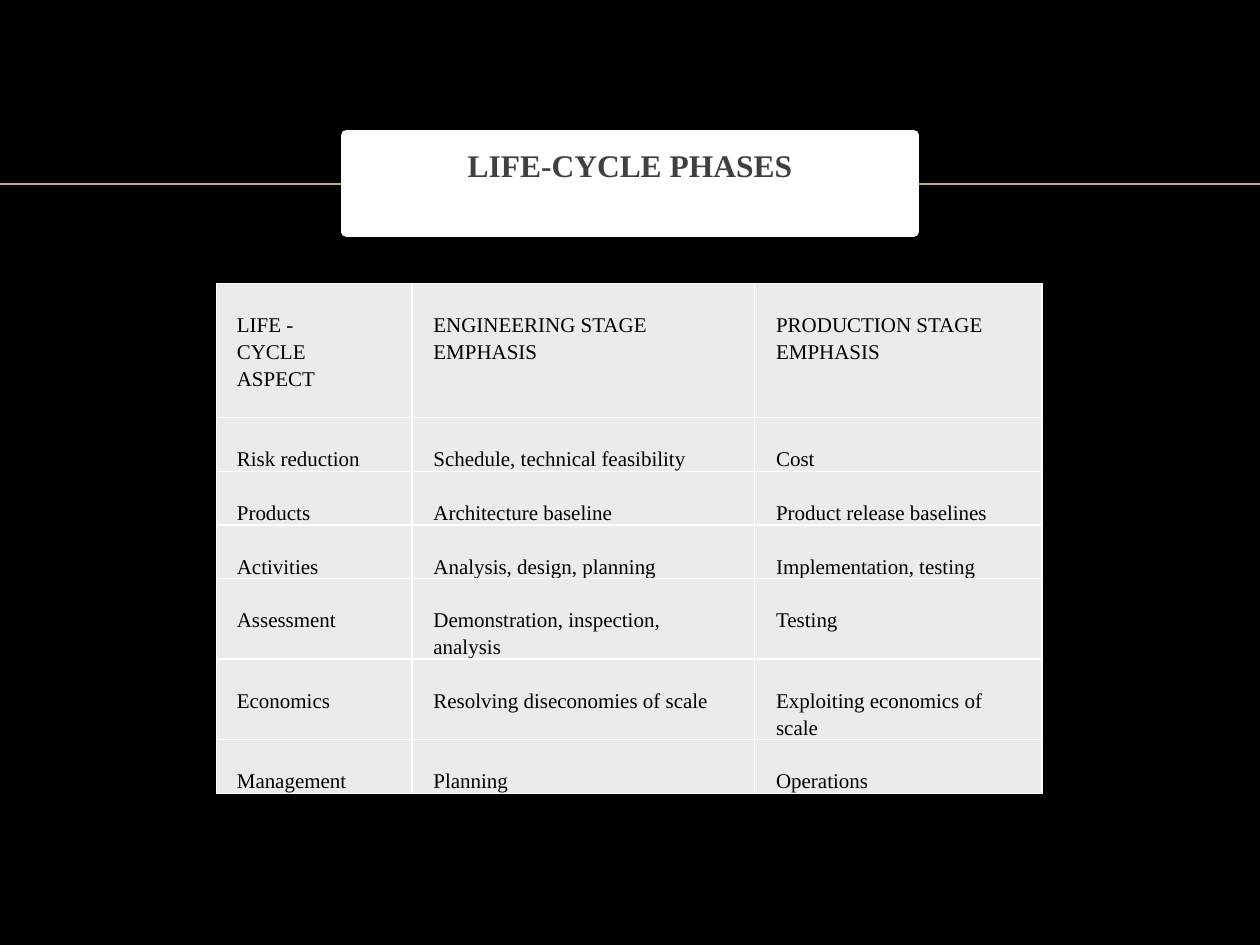
from lxml.etree import SubElement
from pptx import Presentation
from pptx.dml.color import RGBColor
from pptx.enum.shapes import MSO_CONNECTOR
from pptx.enum.text import MSO_ANCHOR, PP_ALIGN
from pptx.oxml import parse_xml
from pptx.oxml.ns import nsdecls, qn
from pptx.util import Inches, Pt

TITLE = "LIFE-CYCLE PHASES"
ROWS = [
    ("LIFE - CYCLE ASPECT", "ENGINEERING STAGE EMPHASIS", "PRODUCTION STAGE EMPHASIS"),
    ("Risk reduction", "Schedule, technical feasibility", "Cost"),
    ("Products", "Architecture baseline", "Product release baselines"),
    ("Activities", "Analysis, design, planning", "Implementation, testing"),
    ("Assessment", "Demonstration, inspection, analysis", "Testing"),
    ("Economics", "Resolving diseconomies of scale", "Exploiting economics of scale"),
    ("Management", "Planning", "Operations"),
]
LINES_PER_ROW = [5, 2, 2, 2, 3, 3, 2]
LINE_HEIGHT = 0.213
COLUMNS = [(1.55, 0.16, 0.38), (2.72, 0.17, 0.27), (2.28, 0.17, 0.26)]
FONT = "Times New Roman"


def rgb(value):
    return RGBColor.from_string(value)


def style_text(p, size, color, bold=False):
    for r in p.runs:
        r.font.name = FONT
        r.font.size = Pt(size)
        r.font.bold = bold
        r.font.color.rgb = rgb(color)


def add_borders(cell, color):
    props = cell._tc.get_or_add_tcPr()
    for i, side in enumerate(("lnL", "lnR", "lnT", "lnB")):
        props.insert(i, parse_xml(
            f'<a:{side} {nsdecls("a")} w="12700"><a:solidFill>'
            f'<a:srgbClr val="{color}"/></a:solidFill></a:{side}>'))


def add_rule(s):
    rule = s.shapes.add_connector(
        MSO_CONNECTOR.STRAIGHT, 0, Inches(1.46), Inches(10), Inches(1.46))
    rule.line.color.rgb = rgb("BBAA8A")
    rule.line.width = Pt(1)
    SubElement(rule._element.spPr, qn("a:effectLst"))


def add_title(s):
    sp = s.shapes.title
    sp.left, sp.top, sp.width, sp.height = map(Inches, (2.75, 1.07, 4.5, 0.77))
    sp.fill.solid()
    sp.fill.fore_color.rgb = rgb("FFFFFF")
    sp.line.color.rgb = rgb("FFFFFF")
    sp.line.width = Pt(6)
    tf = sp.text_frame
    tf.text = TITLE
    tf.vertical_anchor = MSO_ANCHOR.MIDDLE
    tf.margin_top, tf.margin_bottom = Inches(0.05), Inches(0.34)
    p = tf.paragraphs[0]
    p.alignment = PP_ALIGN.CENTER
    style_text(p, 18, "404040", True)
    s.shapes._spTree.append(sp._element)


def add_phase_table(s):
    heights = [n * LINE_HEIGHT for n in LINES_PER_ROW]
    width = sum(col[0] for col in COLUMNS)
    table = s.shapes.add_table(
        len(ROWS), len(COLUMNS), Inches(1.72), Inches(2.25),
        Inches(width), Inches(sum(heights))).table
    table.first_row = table.horz_banding = False
    for i, (col_width, _, _) in enumerate(COLUMNS):
        table.columns[i].width = Inches(col_width)
    for i, (texts, height) in enumerate(zip(ROWS, heights)):
        table.rows[i].height = Inches(height)
        for j, (text, (_, left, right)) in enumerate(zip(texts, COLUMNS)):
            cell = table.cell(i, j)
            cell.text = text
            cell.margin_left, cell.margin_right = Inches(left), Inches(right)
            cell.margin_top, cell.margin_bottom = Inches(LINE_HEIGHT), 0
            cell.fill.solid()
            cell.fill.fore_color.rgb = rgb("EBEBEB")
            add_borders(cell, "FFFFFF")
            p = cell.text_frame.paragraphs[0]
            p.line_spacing = 1.15
            style_text(p, 12, "000000")


def main():
    """Build the life-cycle phases slide."""
    prs = Presentation()
    prs.slide_width, prs.slide_height = Inches(10), Inches(7.5)
    s = prs.slides.add_slide(prs.slide_layouts[5])
    s.background.fill.solid()
    s.background.fill.fore_color.rgb = rgb("000000")
    add_rule(s)
    add_phase_table(s)
    add_title(s)
    prs.save("out.pptx")


if __name__ == "__main__":
    main()
